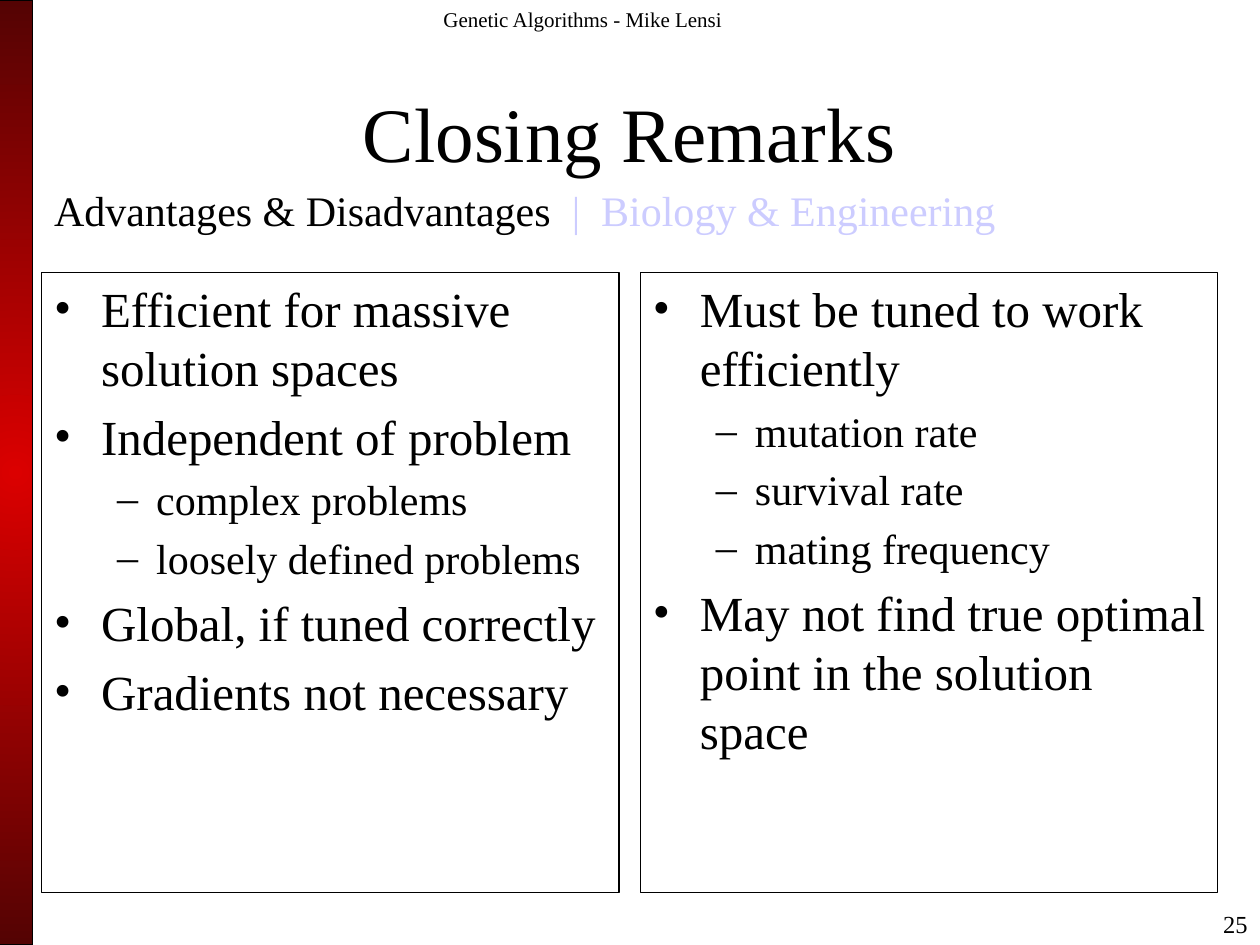
from lxml.etree import SubElement
from pptx import Presentation
from pptx.dml.color import RGBColor
from pptx.enum.shapes import MSO_SHAPE as Shape
from pptx.enum.text import MSO_ANCHOR as Anchor, PP_ALIGN as Align
from pptx.oxml import parse_xml
from pptx.oxml.ns import nsdecls, qn
from pptx.util import Cm, Pt

BLACK = RGBColor(0x00, 0x00, 0x00)
LAVENDER = RGBColor(0xCC, 0xCC, 0xFF)
RED = RGBColor(0xDB, 0x00, 0x00)
MAROON = RGBColor(0x54, 0x03, 0x03)
FONT = "Times New Roman"

# Content: labels are (left, top, width, height in cm), format, spans
LABELS = [
    ((8.69, 0, 8.05, 0.84), {"size": 12},
     [("Genetic Algorithms - Mike Lensi", BLACK)]),
    ((20.12, 18.21, 5.28, 0.84), {"size": 14, "align": Align.RIGHT},
     [("25", BLACK)]),
    ((0.84, 1.7, 23.7, 1.9),
     {"size": 44, "align": Align.CENTER, "anchor": Anchor.MIDDLE},
     [("Closing Remarks", BLACK)]),
    ((0.84, 3.6, 24.13, 1.27), {"size": 24},
     [("Advantages & Disadvantages  ", BLACK),
      ("|  Biology & Engineering", LAVENDER)]),
]

# Each panel holds (level, text)
PANELS = [
    [(0, "Efficient for massive solution spaces"),
     (0, "Independent of problem"),
     (1, "complex problems"),
     (1, "loosely defined problems"),
     (0, "Global, if tuned correctly"),
     (0, "Gradients not necessary")],
    [(0, "Must be tuned to work efficiently"),
     (1, "mutation rate"),
     (1, "survival rate"),
     (1, "mating frequency"),
     (0, "May not find true optimal point in the solution space")],
]
LEVELS = [
    {"size": 28, "bullet": "•", "margin": 0.95, "hang": 0.95},
    {"size": 24, "bullet": "–", "margin": 2.06, "hang": 0.79},
]
PANEL_LEFT, PANEL_TOP, PANEL_WIDTH, PANEL_HEIGHT = 0.84, 5.5, 11.64, 12.49
PANEL_GAP = 0.43


def add_span(para, text, size, color=BLACK):
    span = para.add_run()
    span.text = text
    for name, value in {"name": FONT, "size": Pt(size)}.items():
        setattr(span.font, name, value)
    span.font.color.rgb = color


def add_rectangle(page, left, top, width, height):
    shape = page.shapes.add_shape(
        Shape.RECTANGLE, Cm(left), Cm(top), Cm(width), Cm(height))
    shape.shadow.inherit = False
    shape.line.color.rgb = BLACK
    shape.line.width = Pt(0.75)
    return shape


def add_bar(page):
    bar = add_rectangle(page, -0.03, 0, 0.69, 19.05)
    bar.fill.background()
    properties = bar.fill._xPr
    gradient = parse_xml(
        f'<a:gradFill {nsdecls("a")} rotWithShape="1"><a:gsLst>'
        f'<a:gs pos="0"><a:srgbClr val="{RED}"/></a:gs>'
        f'<a:gs pos="100000"><a:srgbClr val="{MAROON}"/></a:gs></a:gsLst>'
        '<a:path path="circle"><a:fillToRect l="50000" t="50000" '
        'r="50000" b="50000"/></a:path></a:gradFill>')
    properties.replace(properties.find(qn("a:noFill")), gradient)


def add_label(page, place, style, spans):
    box = page.shapes.add_textbox(*map(Cm, place))
    frame = box.text_frame
    frame.word_wrap = True
    frame.vertical_anchor = style.get("anchor", Anchor.TOP)
    para = frame.paragraphs[0]
    para.alignment = style.get("align", Align.LEFT)
    for text, color in spans:
        add_span(para, text, style["size"], color)


def add_panel(page, column, items):
    left = PANEL_LEFT + column * (PANEL_WIDTH + PANEL_GAP)
    panel = add_rectangle(page, left, PANEL_TOP, PANEL_WIDTH, PANEL_HEIGHT)
    panel.fill.background()
    frame = panel.text_frame
    frame.word_wrap = True
    frame.vertical_anchor = Anchor.TOP
    for index, (level, text) in enumerate(items):
        style = LEVELS[level]
        para = frame.add_paragraph() if index else frame.paragraphs[0]
        para.level = level
        para.alignment = Align.LEFT
        if index:
            para.space_before = Pt(style["size"] * 0.2)
        # Bullet and hanging indent
        properties = para._p.get_or_add_pPr()
        properties.set("marL", str(Cm(style["margin"])))
        properties.set("indent", str(-Cm(style["hang"])))
        SubElement(properties, qn("a:buFont"), typeface=FONT)
        SubElement(properties, qn("a:buChar"), char=style["bullet"])
        add_span(para, text, style["size"])


def main():
    deck = Presentation()
    deck.slide_width, deck.slide_height = Cm(25.4), Cm(19.05)
    page = deck.slides.add_slide(deck.slide_layouts[6])
    add_bar(page)
    for label in LABELS:
        add_label(page, *label)
    for column, items in enumerate(PANELS):
        add_panel(page, column, items)
    deck.save("out.pptx")


if __name__ == "__main__":
    main()
